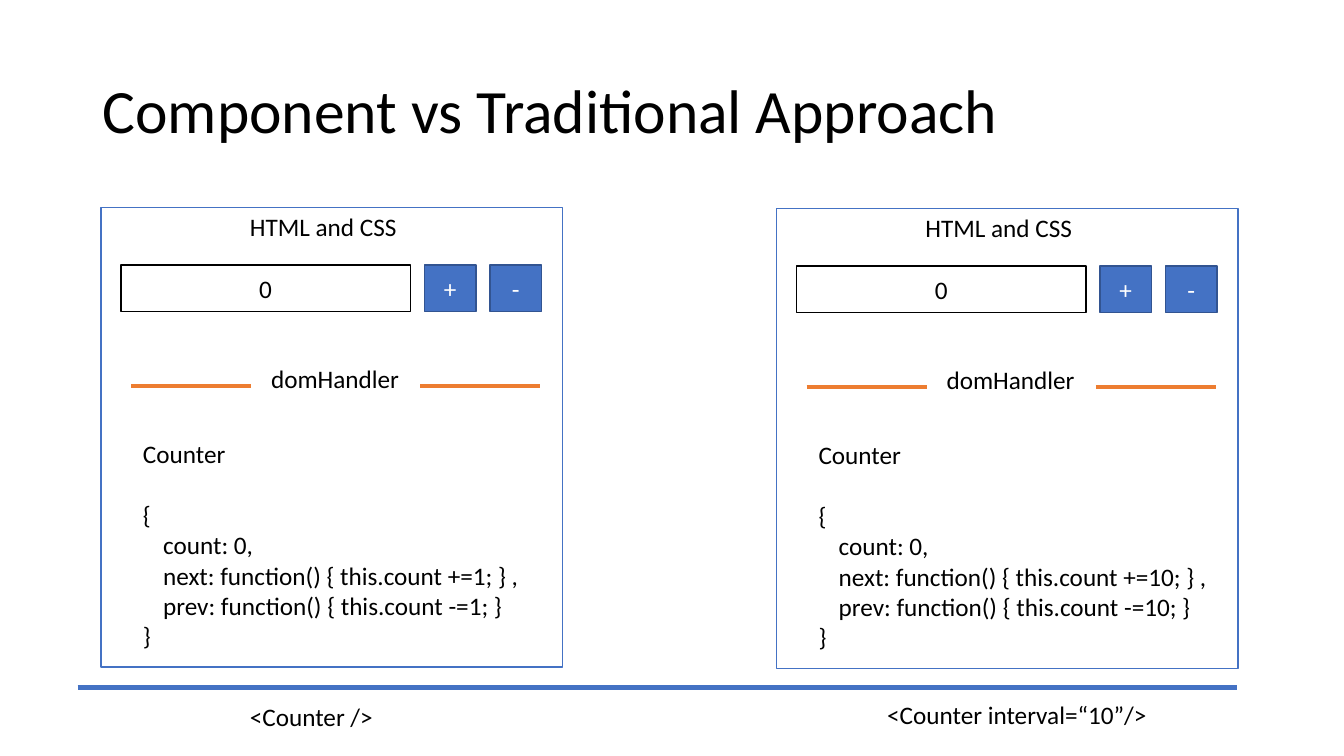
from pptx import Presentation
from pptx.dml.color import RGBColor
from pptx.enum import shapes, text
from pptx.oxml import ns
from pptx.util import Inches, Pt

WHITE = RGBColor(0xFF, 0xFF, 0xFF)
BLACK = RGBColor(0, 0, 0)
BLUE = RGBColor(0x44, 0x72, 0xC4)
NAVY = RGBColor(0x32, 0x54, 0x91)
ORANGE = RGBColor(0xED, 0x7D, 0x31)


class Deck:
    """Holds the text style and the current slide, and draws elements on it."""

    font = "Calibri"
    size = 18

    def __init__(self, prs):
        self.s = prs.slides.add_slide(prs.slide_layouts[6])

    def run(self, p, words, color=BLACK, size=None):
        r = p.add_run()
        r.text = words
        r.font.name = self.font
        r.font.size = Pt(size or self.size)
        r.font.color.rgb = color

    def box(self, x, y, w, h, fill, line, label=None, color=BLACK):
        sp = self.s.shapes.add_shape(
            shapes.MSO_SHAPE.RECTANGLE, Inches(x), Inches(y), Inches(w), Inches(h))
        sp.shadow.inherit = False
        sp.fill.solid()
        sp.fill.fore_color.rgb = fill
        sp.line.color.rgb = line
        sp.line.width = Pt(1)
        if label:
            tf = sp.text_frame
            tf.vertical_anchor = text.MSO_ANCHOR.MIDDLE
            p = tf.paragraphs[0]
            p.alignment = text.PP_ALIGN.CENTER
            self.run(p, label, color)

    def frame(self, x, y, w, h, wrap=False):
        tf = self.s.shapes.add_textbox(
            Inches(x), Inches(y), Inches(w), Inches(h)).text_frame
        tf.word_wrap = wrap
        return tf

    def label(self, x, y, w, words):
        tf = self.frame(x, y, w, 0.4)
        tf.auto_size = text.MSO_AUTO_SIZE.SHAPE_TO_FIT_TEXT
        self.run(tf.paragraphs[0], words)

    def title(self, words):
        tf = self.frame(0.92, 0.4, 11.5, 1.45, wrap=True)
        tf.vertical_anchor = text.MSO_ANCHOR.MIDDLE
        p = tf.paragraphs[0]
        p.line_spacing = 0.9
        self.run(p, words, size=44)

    def code(self, x, y, w, step):
        tf = self.frame(x, y, w, 2.22)
        body = ["count: 0,",
                f"next: function() {{ this.count +={step}; }} ,",
                f"prev: function() {{ this.count -={step}; }}"]
        for i, words in enumerate(["Counter", "{", *body, "}"]):
            p = tf.add_paragraph() if i else tf.paragraphs[0]
            if words in body:
                p._p.get_or_add_pPr().set("marL", str(Inches(0.2)))
            self.run(p, words)
        tf.paragraphs[0].space_after = Pt(22)

    def line(self, x1, x2, y, color, width):
        c = self.s.shapes.add_connector(
            shapes.MSO_CONNECTOR.STRAIGHT, Inches(x1), Inches(y), Inches(x2), Inches(y))
        c.line.color.rgb = color
        c.line.width = Pt(width)
        c._element.spPr.append(ns.parse_xml(f"<a:effectLst {ns.nsdecls('a')}/>")
                               if hasattr(ns, "parse_xml") else
                               c._element.spPr.makeelement(ns.qn("a:effectLst"), {}))

    def panel(self, x, y, step, code_width):
        self.box(x, y, 4.58, 4.56, WHITE, BLUE)
        self.box(x + 0.2, y + 0.57, 2.87, 0.46, WHITE, BLACK, "0")
        for i, sign in enumerate("+-"):
            self.box(x + 3.21 + 0.65 * i, y + 0.57, 0.51, 0.46, BLUE, NAVY, sign, WHITE)
        self.label(x + 1.38, y - 0.01, 1.67, "HTML and CSS")
        self.code(x + 0.32, y + 2.24, code_width, step)
        self.label(x + 1.59, y + 1.5, 1.49, "domHandler")
        for dx in (0.3, 3.17):
            self.line(x + dx, x + dx + 1.19, y + 1.77, ORANGE, 2.25)


def main():
    prs = Presentation()
    prs.slide_width, prs.slide_height = Inches(13.33), Inches(7.5)
    d = Deck(prs)
    d.title("Component vs Traditional Approach")
    d.panel(1, 2.06, 1, 3.97)
    d.panel(7.7, 2.07, 10, 4.1)
    d.line(0.77, 12.27, 6.82, BLUE, 3)
    d.label(2.38, 6.91, 1.44, "<Counter />")
    d.label(8.7, 6.89, 2.81, "<Counter interval=“10”/>")
    prs.save("out.pptx")


if __name__ == "__main__":
    main()
